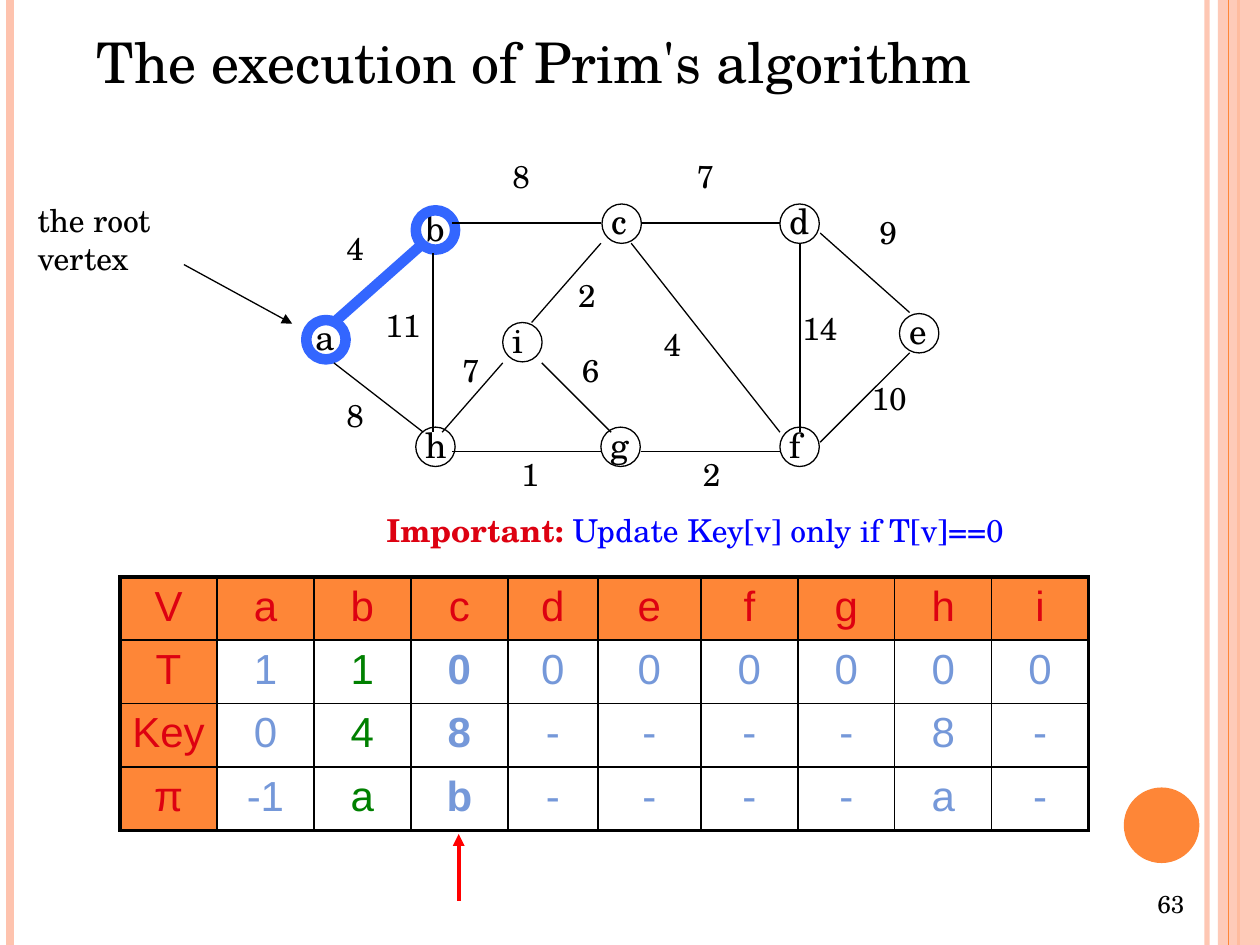
from dataclasses import dataclass

from lxml.etree import SubElement
from pptx import Presentation
from pptx.dml.color import RGBColor
from pptx.enum.shapes import MSO_CONNECTOR, MSO_SHAPE
from pptx.enum.text import MSO_ANCHOR, PP_ALIGN
from pptx.oxml import parse_xml
from pptx.oxml.ns import nsdecls, qn
from pptx.slide import Slide
from pptx.text.text import Font
from pptx.util import Pt


@dataclass(frozen=True)
class Theme:
    serif: str = "TeX Gyre Schola"
    sans: str = "Arial"
    black: str = "000000"
    orange: str = "FE8637"
    peach: str = "FEC3AE"
    tree_blue: str = "3366FF"
    note_blue: str = "0000FF"
    cell_blue: str = "7598D9"
    crimson: str = "DD0111"
    green: str = "008000"
    arrow_red: str = "FF0000"
    title: float = 32
    cell: float = 24
    node: float = 20
    body: float = 18
    page: float = 14


THEME = Theme()


@dataclass(frozen=True)
class Line:
    x1: float
    y1: float
    x2: float
    y2: float
    color: str = THEME.black
    width: float = 0.75
    arrow: bool = False
    opacity: int = 100


@dataclass(frozen=True)
class Text:
    text: str
    left: float
    top: float
    width: float
    height: float
    size: float = THEME.body
    wrap: bool = True
    align: PP_ALIGN = PP_ALIGN.LEFT
    anchor: MSO_ANCHOR = MSO_ANCHOR.TOP


@dataclass(frozen=True)
class Node:
    name: str
    left: float
    top: float
    in_tree: bool = False
    label_width: float = 25.9


@dataclass(frozen=True)
class Weight:
    value: str
    left: float
    top: float


NODE_SIZE = 22.5
STRIPES = [
    Line(689.8, 0, 689.8, 540, THEME.peach, 3, opacity=93),
    Line(5.8, 0, 5.8, 540, THEME.peach, 4.5),
    Line(707.8, 0, 707.8, 540, THEME.orange, 1.5),
]
INNER_STRIPE = Line(702, 0, 702, 540, THEME.orange)
ARROWS = [
    Line(105.1, 151.2, 167, 185, arrow=True),
    Line(262.1, 514.8, 262.1, 476.6, THEME.arrow_red, 2.25, arrow=True),
]
TEXTS = [
    Text("63", 516.2, 504, 167.8, 25.2, THEME.page, align=PP_ALIGN.RIGHT, anchor=MSO_ANCHOR.MIDDLE),
    Text("The execution of Prim's algorithm", 48.2, 12.2, 617.8, 45.4, THEME.title),
    Text("the root vertex", 14.4, 111.6, 96.5, 64.8),
]
NODES = [
    Node("a", 175, 182.9, in_tree=True),
    Node("b", 237.6, 120.2, in_tree=True),
    Node("h", 237.6, 244.1),
    Node("c", 344, 116.6),
    Node("d", 445.7, 116.6),
    Node("e", 514, 179.2),
    Node("f", 445.7, 244.1, label_width=20.2),
    Node("g", 343.4, 244.1),
    Node("i", 287.3, 184.3, label_width=22.5),
]
EDGES = [
    Line(190.8, 184.3, 241.9, 139, THEME.tree_blue, 6),
    Line(190.8, 207.4, 241.9, 247),
    Line(247.5, 144.7, 247.5, 247),
    Line(258.5, 127.4, 343.4, 127.4),
    Line(258.5, 258.2, 343.4, 258.2),
    Line(366.5, 258.2, 445.7, 258.2),
    Line(360.7, 139, 445.7, 247),
    Line(366.5, 127.4, 445.7, 127.4),
    Line(457.2, 139, 457.2, 247),
    Line(468.7, 133.2, 519.8, 178.6),
    Line(468.7, 252.7, 519.8, 201.6),
    Line(309.6, 207.4, 349.2, 247),
    Line(252.7, 247, 287.3, 207.4),
    Line(303.8, 184.3, 343.4, 139),
]
WEIGHTS = [
    Weight("4", 190.8, 127.4), Weight("8", 285.8, 86.4),
    Weight("7", 391, 86.4), Weight("9", 495.4, 118.1),
    Weight("10", 491, 213.1), Weight("14", 451.4, 172.8),
    Weight("4", 372.2, 182.2), Weight("2", 323.3, 154.1),
    Weight("2", 394.6, 256.3), Weight("6", 325.4, 197.3),
    Weight("1", 290.9, 256.3), Weight("7", 257, 197.3),
    Weight("11", 213.1, 171.4), Weight("8", 190.8, 222.5),
]
ROWS = [
    ["V", *"abcdefghi"],
    ["T", *"110000000"],
    ["Key", *"048----8-"],
    ["π", "-1", *"ab----a-"],
]
COLUMN_WIDTHS = [55.4] * 4 + [51.5, 58.9] + [55.4] * 4
ROW_HEIGHT = 36.2
CELL_MARGIN = 3
DONE_COLUMN, CURRENT_COLUMN = 2, 3


def style_font(font: Font, size: float, color: str, name: str = THEME.serif, bold: bool = False) -> None:
    font.size, font.name, font.bold = Pt(size), name, bold
    font.color.rgb = RGBColor.from_string(color)


def set_opacity(fill_parent, percent: int) -> None:
    color = next(fill_parent.iter(qn("a:srgbClr")))
    SubElement(color, qn("a:alpha"), val=str(percent * 1000))


def draw_line(slide: Slide, line: Line) -> None:
    connector = slide.shapes.add_connector(
        MSO_CONNECTOR.STRAIGHT, Pt(line.x1), Pt(line.y1), Pt(line.x2), Pt(line.y2))
    connector.line.width = Pt(line.width)
    connector.line.color.rgb = RGBColor.from_string(line.color)
    outline = connector.line._get_or_add_ln()
    if line.opacity < 100:
        set_opacity(outline, line.opacity)
    if line.arrow:
        SubElement(outline, qn("a:tailEnd"), type="triangle")
    SubElement(connector._element.spPr, qn("a:effectLst"))


def draw_text(slide: Slide, item: Text):
    box = slide.shapes.add_textbox(Pt(item.left), Pt(item.top), Pt(item.width), Pt(item.height))
    frame = box.text_frame
    frame.word_wrap, frame.vertical_anchor = item.wrap, item.anchor
    paragraph = frame.paragraphs[0]
    paragraph.text, paragraph.alignment = item.text, item.align
    style_font(paragraph.font, item.size, THEME.black)
    return paragraph


def draw_solid(slide: Slide, kind: MSO_SHAPE, left: float, top: float, width: float, height: float, color: str):
    shape = slide.shapes.add_shape(kind, Pt(left), Pt(top), Pt(width), Pt(height))
    shape.shadow.inherit = False
    shape.fill.solid()
    shape.fill.fore_color.rgb = RGBColor.from_string(color)
    shape.line.fill.background()
    return shape


def draw_node(slide: Slide, node: Node) -> None:
    draw_text(slide, Text(node.name, node.left - 1.5, node.top - 5.9, node.label_width, 31, THEME.node, wrap=False))
    circle = slide.shapes.add_shape(
        MSO_SHAPE.OVAL, Pt(node.left), Pt(node.top), Pt(NODE_SIZE), Pt(NODE_SIZE))
    circle.shadow.inherit = False
    circle.fill.background()
    circle.line.width = Pt(6 if node.in_tree else 0.75)
    circle.line.color.rgb = RGBColor.from_string(THEME.tree_blue if node.in_tree else THEME.black)


def set_borders(cell, outer: dict[str, bool]) -> None:
    properties = cell._tc.get_or_add_tcPr()
    for index, (side, is_outer) in enumerate(outer.items()):
        properties.insert(index, parse_xml(
            f'<a:ln{side} {nsdecls("a")} w="{Pt(2.25 if is_outer else 1)}"><a:solidFill>'
            f'<a:srgbClr val="{THEME.black}"/></a:solidFill></a:ln{side}>'))


def draw_table(slide: Slide) -> None:
    last_row, last_column = len(ROWS) - 1, len(COLUMN_WIDTHS) - 1
    table = slide.shapes.add_table(
        len(ROWS), len(COLUMN_WIDTHS), Pt(68.6), Pt(329.6),
        Pt(sum(COLUMN_WIDTHS)), Pt(ROW_HEIGHT * len(ROWS))).table
    table.first_row = table.horz_banding = False
    for column, width in zip(table.columns, COLUMN_WIDTHS):
        column.width = Pt(width)
    for r, values in enumerate(ROWS):
        table.rows[r].height = Pt(ROW_HEIGHT)
        for c, value in enumerate(values):
            cell = table.cell(r, c)
            cell.margin_left = cell.margin_right = Pt(CELL_MARGIN)
            is_header = r == 0 or c == 0
            if is_header:
                cell.fill.solid()
                cell.fill.fore_color.rgb = RGBColor.from_string(THEME.orange)
                color = THEME.crimson
            else:
                cell.fill.background()
                color = THEME.green if c == DONE_COLUMN else THEME.cell_blue
            set_borders(cell, {"L": c == 0, "R": c == last_column, "T": r == 0, "B": r == last_row})
            paragraph = cell.text_frame.paragraphs[0]
            paragraph.text, paragraph.alignment = value, PP_ALIGN.CENTER
            style_font(paragraph.font, THEME.cell, color, THEME.sans, not is_header and c == CURRENT_COLUMN)


def draw_note(slide: Slide) -> None:
    paragraph = draw_text(slide, Text("Important: ", 213.8, 288.7, 506.2, 29.5))
    style_font(paragraph.runs[0].font, THEME.body, THEME.crimson, bold=True)
    rule = paragraph.add_run()
    rule.text = "Update Key[v] only if T[v]==0"
    style_font(rule.font, THEME.body, THEME.note_blue)


def main() -> None:
    presentation = Presentation()
    presentation.slide_width, presentation.slide_height = Pt(720), Pt(540)
    slide = presentation.slides.add_slide(presentation.slide_layouts[6])
    for stripe in STRIPES:
        draw_line(slide, stripe)
    band = draw_solid(slide, MSO_SHAPE.RECTANGLE, 696, 0, 24, 540, THEME.peach)
    set_opacity(band._element.spPr, 87)
    draw_line(slide, INNER_STRIPE)
    draw_solid(slide, MSO_SHAPE.OVAL, 642.2, 450, 43.2, 43.2, THEME.orange)
    for item in TEXTS:
        draw_text(slide, item)
    draw_table(slide)
    for node in NODES:
        draw_node(slide, node)
    for line in EDGES + ARROWS:
        draw_line(slide, line)
    for weight in WEIGHTS:
        width = 14.4 + 10.1 * len(weight.value)
        draw_text(slide, Text(weight.value, weight.left, weight.top, width, 28.8, wrap=False))
    draw_note(slide)
    presentation.save("out.pptx")


if __name__ == "__main__":
    main()
